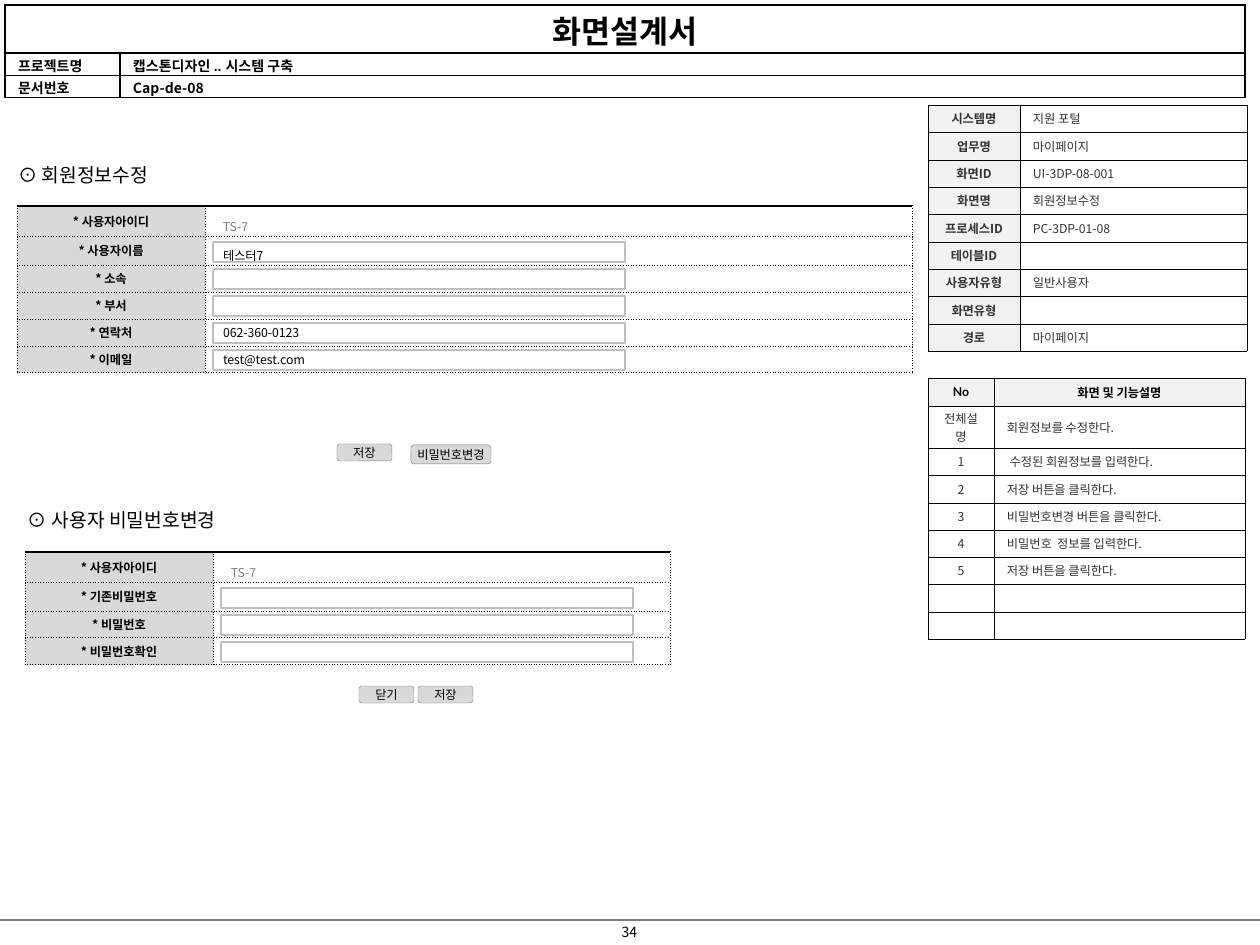
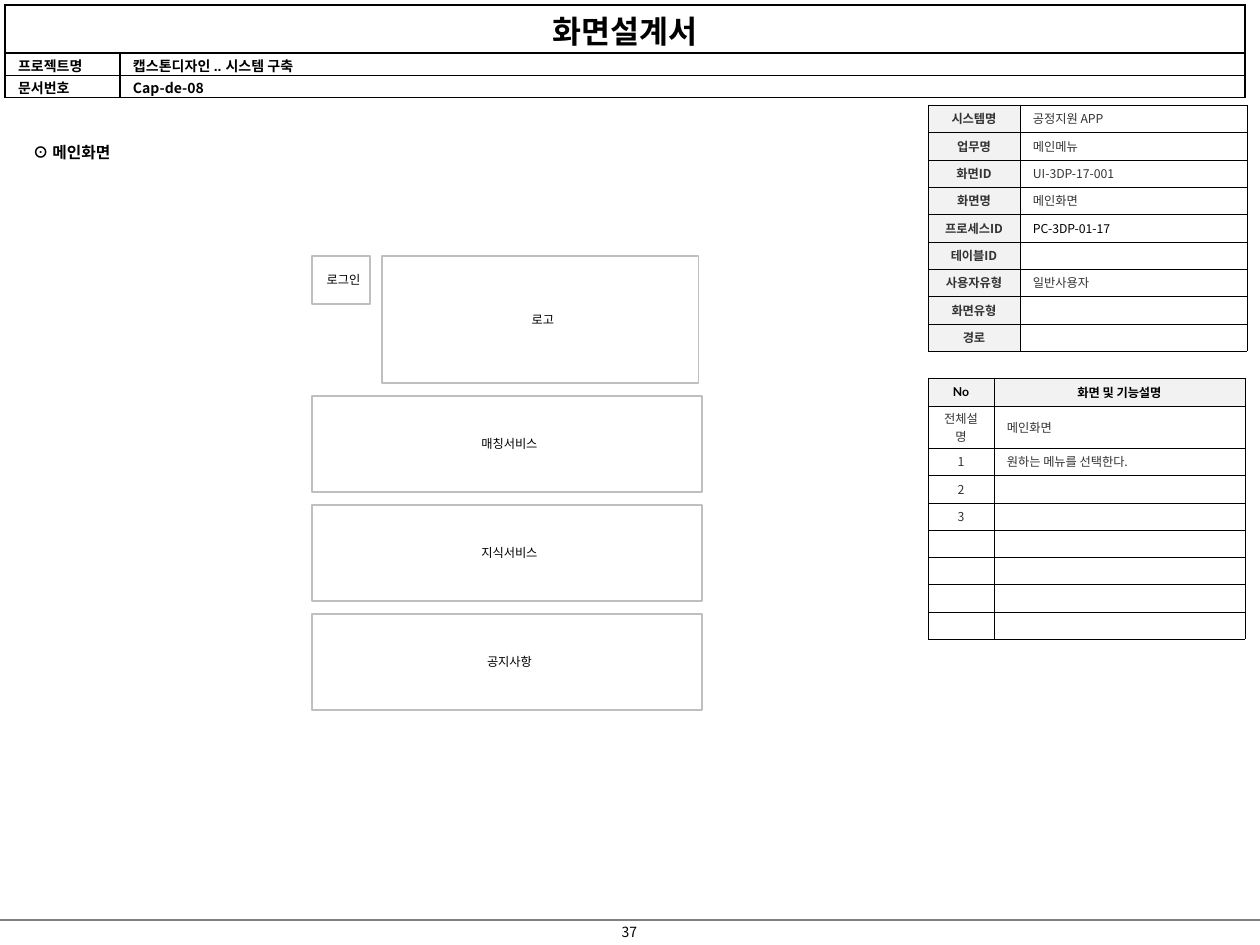
from dataclasses import dataclass
from itertools import accumulate

from lxml.etree import SubElement
from pptx import Presentation
from pptx.dml.color import RGBColor
from pptx.enum.shapes import MSO_CONNECTOR, MSO_SHAPE
from pptx.enum.text import MSO_ANCHOR, MSO_AUTO_SIZE, PP_ALIGN
from pptx.oxml.ns import qn
from pptx.util import Emu, Pt

EMU_PER_PX = 914400 // 126


@dataclass(frozen=True)
class Theme:
    black: str = "000000"
    ink: str = "333333"
    muted: str = "808080"
    edge: str = "BFBFBF"
    label: str = "D9D9D9"
    head: str = "F2F2F2"
    white: str = "FFFFFF"
    font: str = "Noto Sans CJK KR"
    label_font: str = "Arial"
    number_font: str = "Lato"
    title: int = 18
    section: int = 11
    subsection: int = 9
    meta: int = 8
    small: int = 7


THEME = Theme()
INFO_LABELS = ["시스템명", "업무명", "화면ID", "화면명", "프로세스ID", "테이블ID",
               "사용자유형", "화면유형", "경로"]
CELL_MARGINS = (13, 0, 13, 0)
BOX_MARGINS = (10, 6, 5, 6)


def px(value):
    return Emu(value * EMU_PER_PX)


def px_box(*values):
    return [px(value) for value in values]


def rgb(color):
    return RGBColor.from_string(color)


def spread(total, count):
    """Split a length into whole parts that differ by one px at most."""
    edges = [round(index * total / count) for index in range(count + 1)]
    return [end - start for start, end in zip(edges, edges[1:])]


def write(frame, content, size=THEME.small, color=THEME.black, bold=False,
          font=THEME.font, align=PP_ALIGN.LEFT, spacing=None):
    paragraph = frame.paragraphs[0]
    paragraph.alignment = align
    if spacing:
        paragraph.line_spacing = spacing
    if not content:
        SubElement(paragraph._p, qn("a:endParaRPr"), sz=str(size * 100))
        return
    run = paragraph.add_run()
    run.text = content
    run.font.size = Pt(size)
    run.font.bold = bold
    run.font.name = font
    run.font.color.rgb = rgb(color)
    SubElement(run._r.get_or_add_rPr(), qn("a:ea"), typeface=THEME.font)


def set_margins(target, margins):
    (target.margin_left, target.margin_top,
     target.margin_right, target.margin_bottom) = px_box(*margins)


def set_borders(cell, widths, dash):
    """Draw the left, right, top and bottom borders, with widths in points."""
    properties = cell._tc.get_or_add_tcPr()
    for side, width in zip("LRTB", widths):
        line = SubElement(properties, qn(f"a:ln{side}"), w=str(Pt(width)))
        fill = SubElement(line, qn("a:solidFill"))
        SubElement(fill, qn("a:srgbClr"), val=THEME.black)
        SubElement(line, qn("a:prstDash"), val=dash)


def add_grid(slide, left, top, columns, rows):
    box = px_box(left, top, sum(columns), sum(rows))
    table = slide.shapes.add_table(len(rows), len(columns), *box).table
    table.first_row = table.horz_banding = False
    for column, width in zip(table.columns, columns):
        column.width = px(width)
    for row, height in zip(table.rows, rows):
        row.height = px(height)
    return table


def fill_cell(cell, content, fill=None, widths=(0.25,) * 4, dash="solid",
              margins=CELL_MARGINS, anchor=MSO_ANCHOR.MIDDLE, **text_format):
    set_margins(cell, margins)
    cell.vertical_anchor = anchor
    set_borders(cell, widths, dash)
    if fill:
        cell.fill.solid()
        cell.fill.fore_color.rgb = rgb(fill)
    else:
        cell.fill.background()
    write(cell.text_frame, content, **text_format)


def add_box(slide, left, top, width, height, content="", fill=THEME.white,
            line=THEME.edge, line_width=0.75, kind=MSO_SHAPE.RECTANGLE,
            margins=BOX_MARGINS, wrap=True, **text_format):
    shape = slide.shapes.add_shape(kind, *px_box(left, top, width, height))
    shape.shadow.inherit = False
    shape.fill.solid()
    shape.fill.fore_color.rgb = rgb(fill)
    if line:
        shape.line.color.rgb = rgb(line)
        shape.line.width = Pt(line_width)
    else:
        shape.line.fill.background()
    frame = shape.text_frame
    frame.word_wrap = wrap
    frame.vertical_anchor = MSO_ANCHOR.MIDDLE
    set_margins(frame, margins)
    if content:
        write(frame, content, **text_format)


def add_button(slide, left, top, width, height, caption):
    add_box(slide, left, top, width, height, caption, fill=THEME.label,
            line=THEME.muted, line_width=0.25, kind=MSO_SHAPE.ROUNDED_RECTANGLE,
            margins=(13, 5, 13, 5), wrap=False, align=PP_ALIGN.CENTER)


def add_heading(slide, left, top, width, height, content, title=False, **text_format):
    """Place a section heading; the slide's main one uses the title placeholder."""
    box = px_box(left, top, width, height)
    if title:
        shape = slide.shapes.title
        shape.left, shape.top, shape.width, shape.height = box
    else:
        shape = slide.shapes.add_textbox(*box)
    frame = shape.text_frame
    frame.word_wrap = False
    frame.auto_size = MSO_AUTO_SIZE.NONE
    frame.vertical_anchor = MSO_ANCHOR.MIDDLE
    set_margins(frame, (13, 6, 13, 6))
    write(frame, content, **text_format)


def add_document_header(slide, left=5, top=5):
    table = add_grid(slide, left, top, [115, 1125], [48, 22, 22])
    layout = dict(fill=THEME.white, margins=(13, 2, 13, 0), anchor=MSO_ANCHOR.TOP, bold=True)
    table.cell(0, 0).merge(table.cell(0, 1))
    fill_cell(table.cell(0, 0), "화면설계서", widths=(1.5, 1.5, 1.5, 0.75),
              size=THEME.title, align=PP_ALIGN.CENTER, **layout)
    set_borders(table.cell(0, 1), (0.75, 1.5, 1.5, 0.75), "solid")
    entries = [("프로젝트명", "캡스톤디자인 .. 시스템 구축", THEME.label_font),
               ("문서번호", "Cap-de-08", THEME.font)]
    for row, (label, value, value_font) in enumerate(entries, 1):
        fill_cell(table.cell(row, 0), label, widths=(1.5, 0.75, 0.75, 0.75),
                  size=THEME.meta, font=THEME.label_font, **layout)
        fill_cell(table.cell(row, 1), value, widths=(0.75, 1.5, 0.75, 0.75),
                  size=THEME.meta, font=value_font, **layout)


def add_footer(slide, number, top=920):
    line = slide.shapes.add_connector(MSO_CONNECTOR.STRAIGHT, *px_box(0, top, 1260, top))
    line.line.color.rgb = rgb(THEME.muted)
    line.line.width = Pt(0.75)
    SubElement(line._element.spPr, qn("a:effectLst"))
    frame = slide.shapes.add_textbox(*px_box(595, top - 3, 69, 30)).text_frame
    frame.word_wrap = True
    frame.vertical_anchor = MSO_ANCHOR.MIDDLE
    set_margins(frame, (13, 6, 13, 6))
    write(frame, number, size=THEME.meta, align=PP_ALIGN.CENTER)


def add_info_table(slide, values, left=928, top=105, process_color=THEME.ink):
    table = add_grid(slide, left, top, [92, 227], spread(246, len(INFO_LABELS)))
    for row, (label, value) in enumerate(zip(INFO_LABELS, values)):
        fill_cell(table.cell(row, 0), label, fill=THEME.head, color=THEME.ink,
                  bold=True, align=PP_ALIGN.CENTER)
        color = process_color if label == "프로세스ID" else THEME.ink
        fill_cell(table.cell(row, 1), value, color=color)


def add_function_table(slide, overview, steps, left=928, top=378, step_rows=7):
    table = add_grid(slide, left, top, [66, 251], [28, 42] + spread(191, step_rows))
    headers = [("No", THEME.number_font), ("화면 및 기능설명", THEME.label_font)]
    for column, (header, font) in enumerate(headers):
        fill_cell(table.cell(0, column), header, fill=THEME.head, font=font,
                  bold=True, align=PP_ALIGN.CENTER)
    entries = [("전체설명", overview)]
    entries += [(str(number), step) for number, step in enumerate(steps, 1)]
    entries += [("", "")] * (step_rows - len(steps))
    for row, (number, description) in enumerate(entries, 1):
        fill_cell(table.cell(row, 0), number, color=THEME.ink, align=PP_ALIGN.CENTER)
        fill_cell(table.cell(row, 1), description, color=THEME.ink)


def add_form(slide, left, top, field_width, user_id, fields):
    """Draw labelled rows: a read-only user ID, then one input per field."""
    labels = ["사용자아이디"] + [label for label, _ in fields]
    rows = [30, 29] + [27] * (len(labels) - 2)
    table = add_grid(slide, left, top, [188, field_width], rows)
    for row, label in enumerate(labels):
        style = dict(widths=(0.5,) * 4, dash="sysDot", margins=(0, 0, 0, 0))
        fill_cell(table.cell(row, 0), f"* {label}", fill=THEME.label, bold=True,
                  align=PP_ALIGN.CENTER, **style)
        fill_cell(table.cell(row, 1), "", fill=THEME.white, **style)
    for cell in table.rows[0].cells:
        top_line = cell._tc.tcPr.find(qn("a:lnT"))
        top_line.set("w", str(Pt(1)))
        top_line.find(qn("a:prstDash")).set("val", "solid")

    input_left = left + 196
    id_bottom, *bottoms = [top + bottom for bottom in accumulate(rows)]
    add_box(slide, input_left, id_bottom - 23, 205, 20, user_id, line=None,
            color=THEME.muted, spacing=1.5)
    for index, (bottom, (_, value)) in enumerate(zip(bottoms, fields)):
        add_box(slide, input_left, bottom - 23, 412, 20, value,
                spacing=None if index else 1.5)


def add_main_menu(slide, left, top):
    centered = dict(align=PP_ALIGN.CENTER)
    add_box(slide, left, top, 58, 48, "로그인", **centered)
    add_box(slide, left + 70, top, 317, 127, "로고", **centered)
    for index, service in enumerate(["매칭서비스", "지식서비스", "공지사항"]):
        add_box(slide, left, top + 140 + 109 * index, 390, 96, service, **centered)


def add_design_slide(presentation, number):
    slide = presentation.slides.add_slide(presentation.slide_layouts[5])
    add_document_header(slide)
    add_footer(slide, number)
    return slide


def build_member_slide(presentation):
    slide = add_design_slide(presentation, "34")
    add_function_table(slide, "회원정보를 수정한다.", [
        " 수정된 회원정보를 입력한다.", "저장 버튼을 클릭한다.",
        "비밀번호변경 버튼을 클릭한다.", "비밀번호  정보를 입력한다.",
        "저장 버튼을 클릭한다."])
    add_info_table(slide, ["지원 포털", "마이페이지", "UI-3DP-08-001", "회원정보수정",
                           "PC-3DP-01-08", "", "일반사용자", "", "마이페이지"])
    add_heading(slide, 5, 156, 159, 37, "⊙ 회원정보수정", title=True, size=THEME.section)
    add_form(slide, 17, 206, 707, "TS-7", [
        ("사용자이름", "테스터7"), ("소속", ""), ("부서", ""),
        ("연락처", "062-360-0123"), ("이메일", "test@test.com")])
    add_button(slide, 337, 444, 55, 17, "저장")
    add_button(slide, 411, 445, 80, 19, "비밀번호변경")
    add_heading(slide, 15, 501, 219, 37, "⊙ 사용자 비밀번호변경", size=THEME.section)
    add_form(slide, 25, 552, 457, "TS-7", [
        ("기존비밀번호", ""), ("비밀번호", ""), ("비밀번호확인", "")])
    for index, caption in enumerate(["닫기", "저장"]):
        add_button(slide, 359 + 59 * index, 686, 55, 17, caption)


def build_main_slide(presentation):
    slide = add_design_slide(presentation, "37")
    add_function_table(slide, "메인화면", ["원하는 메뉴를 선택한다.", "", ""])
    add_info_table(slide, ["공정지원 APP", "메인메뉴", "UI-3DP-17-001", "메인화면",
                           "PC-3DP-01-17", "", "일반사용자", "", ""],
                   process_color=THEME.black)
    add_heading(slide, 20, 137, 110, 31, "⊙ 메인화면", title=True,
                size=THEME.subsection, bold=True)
    add_main_menu(slide, 312, 256)


def main():
    presentation = Presentation()
    presentation.slide_width, presentation.slide_height = px_box(1260, 945)
    build_member_slide(presentation)
    build_main_slide(presentation)
    presentation.save("out.pptx")


if __name__ == "__main__":
    main()
